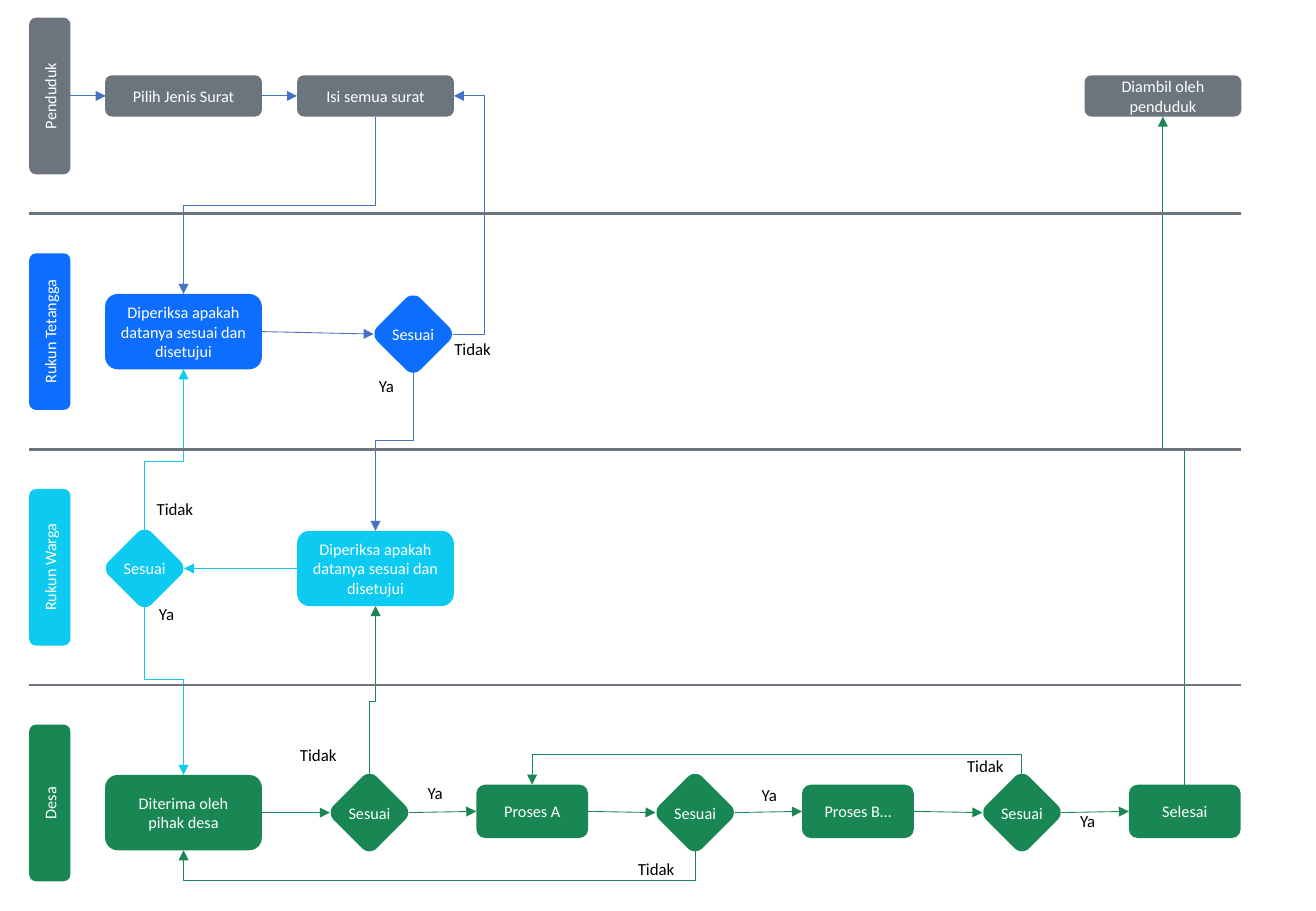
"""Builds a four-lane flowchart of how a village letter is requested and approved."""
from lxml import etree
from pptx import Presentation
from pptx import util as u
from pptx.dml.color import RGBColor
from pptx.enum import shapes, text
from pptx.oxml import ns

COLORS = {"gray": "6C757D", "blue": "0D6EFD", "cyan": "0DCAF0", "green": "198754",
          "arrow": "4472C4", "white": "FFFFFF", "black": "000000"}
FONT = "Calibri"
LANES = [("Penduduk", "gray"), ("Rukun Tetangga", "blue"), ("Rukun Warga", "cyan"), ("Desa", "green")]
LANE_TOP, LANE_PITCH = 0.79, 1.94
LANE_LEFT, LANE_RIGHT = 0.24, 10.21
TAB = (1.29, 0.34)
SMALL, LARGE, PROCESS = (1.29, 0.34), (1.29, 0.62), (0.92, 0.44)
CHECK = "Diperiksa apakah datanya sesuai dan disetujui"
BOXES = {
    "choose": ("Pilih Jenis Surat", 1.51, 0.79, SMALL, "gray"),
    "fill in": ("Isi semua surat", 3.09, 0.79, SMALL, "gray"),
    "collect": ("Diambil oleh penduduk", 9.57, 0.79, SMALL, "gray"),
    "check RT": (CHECK, 1.51, 2.73, LARGE, "blue"),
    "check RW": (CHECK, 3.09, 4.68, LARGE, "cyan"),
    "receive": ("Diterima oleh pihak desa", 1.51, 6.69, LARGE, "green"),
    "process A": ("Proses A", 4.38, 6.68, PROCESS, "green"),
    "process B": ("Proses B…", 7.06, 6.68, PROCESS, "green"),
    "finish": ("Selesai", 9.75, 6.68, PROCESS, "green"),
}
DECISIONS = {
    "decide RT": (3.4, 2.75, "blue"),
    "decide RW": (1.19, 4.68, "cyan"),
    "decide receipt": (3.04, 6.69, "green"),
    "decide A": (5.72, 6.69, "green"),
    "decide B": (8.41, 6.69, "green"),
}
LABELS = [
    ("Ya", 3.02, 3.04), ("Tidak", 3.64, 2.74), ("Ya", 1.21, 4.92), ("Tidak", 1.19, 4.05),
    ("Tidak", 2.37, 6.08), ("Ya", 3.42, 6.39), ("Ya", 6.17, 6.41), ("Tidak", 5.15, 7.02),
    ("Ya", 8.79, 6.62), ("Tidak", 7.86, 6.17),
]
LABEL_WIDTHS = {"Ya": 0.34, "Tidak": 0.51}
SITES = {"top": 0, "left": 1, "bottom": 2, "right": 3}
STRAIGHT = [
    ("choose", "right", "fill in", "left", "arrow"),
    ("check RT", "right", "decide RT", "left", "arrow"),
    ("check RW", "left", "decide RW", "right", "cyan"),
]
DESA_ROW = ["receive", "decide receipt", "process A", "decide A", "process B", "decide B", "finish"]
STRAIGHT += [(a, "right", b, "left", "green") for a, b in zip(DESA_ROW, DESA_ROW[1:])]
BENT = [
    ("fill in", "bottom", "check RT", "top", "arrow", None),
    ("decide RT", "bottom", "check RW", "top", "arrow", None),
    ("decide RT", "right", "fill in", "right", "arrow", 3.99),
    ("decide RW", "top", "check RT", "bottom", "cyan", None),
    ("decide RW", "bottom", "receive", "top", "cyan", None),
    ("decide receipt", "top", "check RW", "bottom", "green", None),
    ("decide A", "bottom", "receive", "bottom", "green", 7.25),
    ("decide B", "top", "process A", "top", "green", 6.21),
    ("finish", "top", "collect", "bottom", "green", None),
]

deck = Presentation()
deck.slide_width, deck.slide_height = u.Inches(10.83), u.Inches(7.5)
page = deck.slides.add_slide(deck.slide_layouts[6])
nodes = {}


def color(name):
    return RGBColor.from_string(COLORS[name])


def write(shape, words, size=9.6, ink="white", align=text.PP_ALIGN.CENTER, wrap=True):
    """Put one formatted paragraph into a shape."""
    frame = shape.text_frame
    frame.word_wrap = wrap
    frame.vertical_anchor = text.MSO_ANCHOR.MIDDLE
    para = frame.paragraphs[0]
    para.alignment = align
    span = para.add_run()
    span.text = words
    span.font.name, span.font.size, span.font.color.rgb = FONT, u.Pt(size), color(ink)


def frame_at(x, y, width, height):
    """Return left, top, width and height for a frame centred on a point."""
    return [u.Inches(v) for v in (x - width / 2, y - height / 2, width, height)]


def add_box(x, y, size, fill, rotation=0):
    box = page.shapes.add_shape(shapes.MSO_SHAPE.ROUNDED_RECTANGLE, *frame_at(x, y, *size))
    box.shadow.inherit = False
    box.fill.solid()
    box.fill.fore_color.rgb = color(fill)
    box.line.fill.background()
    box.rotation = rotation
    return box


def add_line(kind, ink, start=(0, 0), end=(0, 0), width=0.5, arrow=True):
    """Add a connector behind the boxes."""
    line = page.shapes.add_connector(kind, *[u.Inches(v) for v in (*start, *end)])
    line.line.color.rgb = color(ink)
    line.line.width = u.Pt(width)
    if arrow:
        stroke = line.element.find(".//" + ns.qn("a:ln"))
        etree.SubElement(stroke, ns.qn("a:tailEnd"), type="triangle")
    etree.SubElement(line.element.spPr, ns.qn("a:effectLst"))
    page.shapes.element.insert(2, line.element)
    return line


def join(kind, source, source_site, target, target_site, ink):
    line = add_line(kind, ink)
    line.begin_connect(nodes[source], SITES[source_site])
    line.end_connect(nodes[target], SITES[target_site])
    return line


def bend(line, vertical, turn):
    """Set where the elbow turns, and rotate it when it leaves vertically."""
    x1, y1, x2, y2 = line.begin_x, line.begin_y, line.end_x, line.end_y
    if turn is not None:
        start, end = (y1, y2) if vertical else (x1, x2)
        ratio = round((u.Inches(turn) - start) / (end - start) * 100000)
        guides = line.element.find(".//" + ns.qn("a:avLst"))
        etree.SubElement(guides, ns.qn("a:gd"), name="adj1", fmla=f"val {ratio}")
    if vertical:
        x, y, dx, dy = (x1 + x2) // 2, (y1 + y2) // 2, (x2 - x1) // 2, (y2 - y1) // 2
        line.begin_x, line.begin_y = x - dy, y + dx
        line.end_x, line.end_y = x + dy, y - dx
        line.element.spPr.find(ns.qn("a:xfrm")).set("rot", str(90 * 60000))


for index, (words, fill) in enumerate(LANES):
    middle = LANE_TOP + index * LANE_PITCH
    write(add_box(0.41, middle, TAB, fill, rotation=270), words)
    if index < len(LANES) - 1:
        border = middle + LANE_PITCH / 2
        add_line(shapes.MSO_CONNECTOR.STRAIGHT, "gray", (LANE_LEFT, border), (LANE_RIGHT, border),
                 width=1.5, arrow=False)

for name, (words, x, y, size, fill) in BOXES.items():
    nodes[name] = add_box(x, y, size, fill)
    write(nodes[name], words)

for name, (x, y, fill) in DECISIONS.items():
    add_box(x, y, (0.5, 0.5), fill, rotation=45)
    nodes[name] = page.shapes.add_textbox(*frame_at(x, y, 0.65, 0.26))
    write(nodes[name], "Sesuai")

for words, left, top in LABELS:
    label = page.shapes.add_textbox(*[u.Inches(v) for v in (left, top, LABEL_WIDTHS[words], 0.27)])
    write(label, words, size=10, ink="black", align=text.PP_ALIGN.LEFT, wrap=False)

add_line(shapes.MSO_CONNECTOR.STRAIGHT, "arrow", (0.58, LANE_TOP), (0.87, LANE_TOP))
for link in STRAIGHT:
    join(shapes.MSO_CONNECTOR.STRAIGHT, *link)
for *link, turn in BENT:
    bend(join(shapes.MSO_CONNECTOR.ELBOW, *link), link[1] in ("top", "bottom"), turn)

deck.save("out.pptx")
